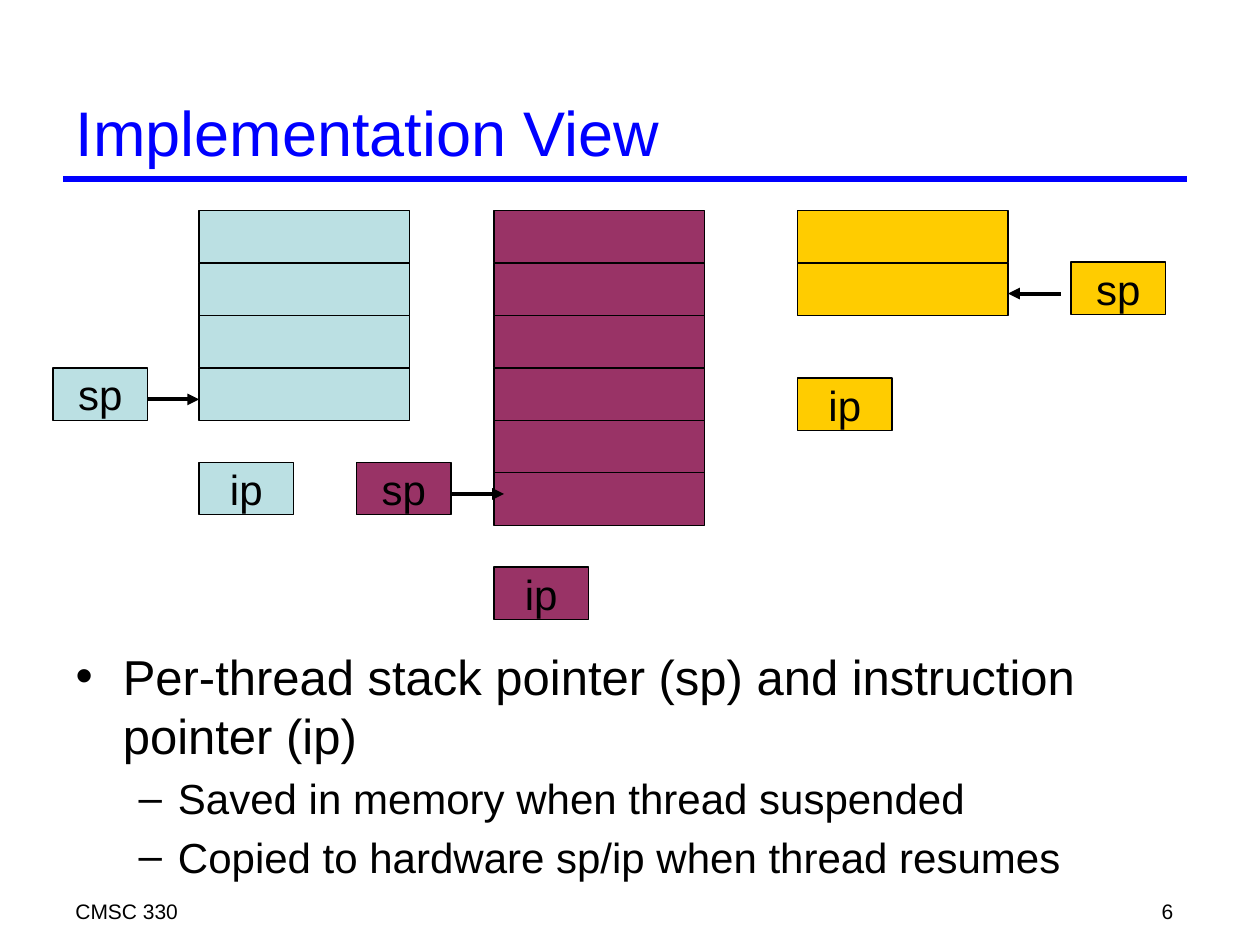
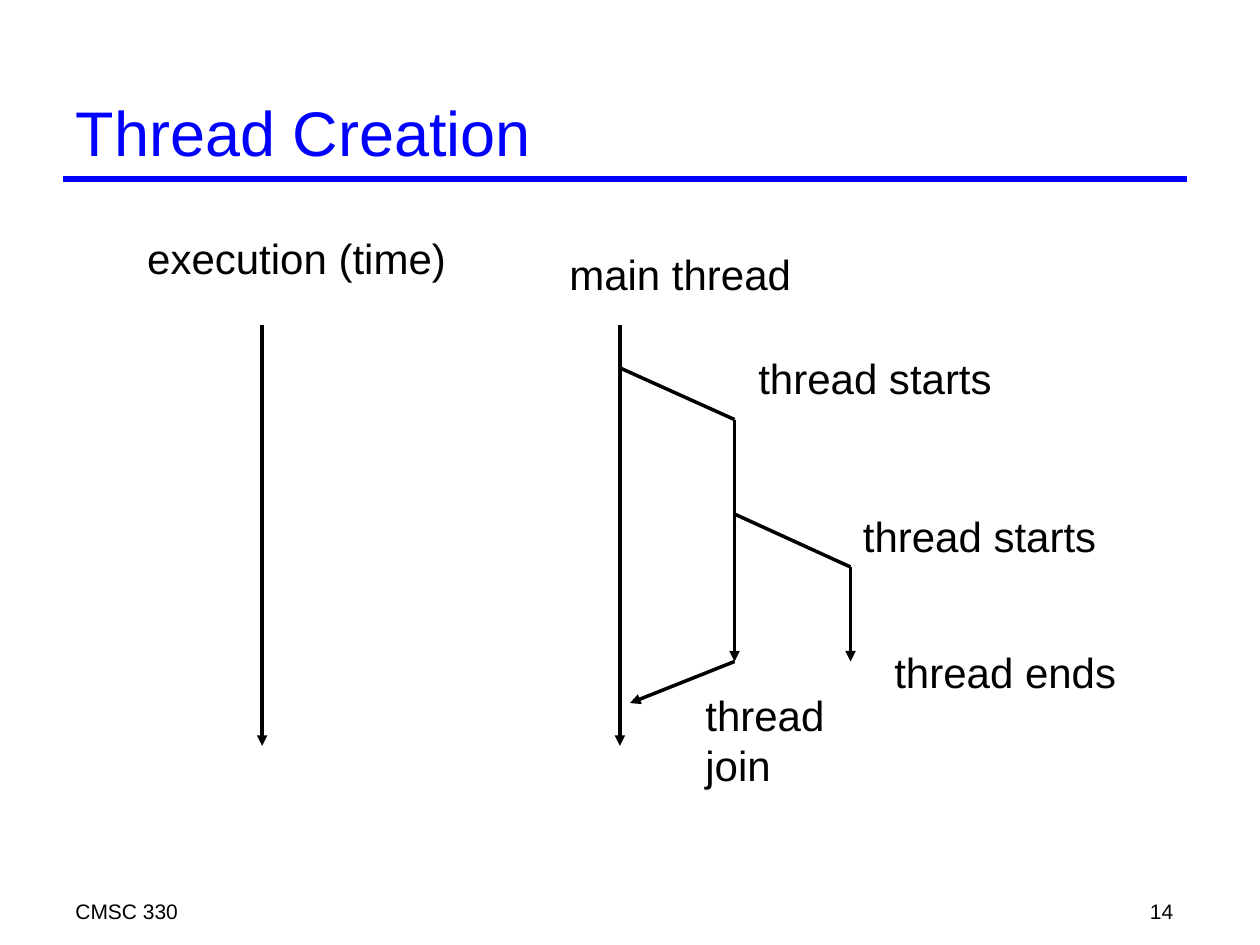
from lxml.etree import SubElement
from pptx import Presentation
from pptx.dml.color import RGBColor
from pptx.enum.shapes import MSO_CONNECTOR as Connector, MSO_SHAPE as Shape
from pptx.enum.text import MSO_ANCHOR as Anchor, MSO_AUTO_SIZE as AutoSize, PP_ALIGN as Align
from pptx.oxml.ns import qn
from pptx.util import Inches, Pt

BLACK = RGBColor(0x00, 0x00, 0x00)
BLUE = RGBColor(0x00, 0x00, 0xFF)
TEAL = RGBColor(0xBB, 0xE0, 0xE3)
PLUM = RGBColor(0x99, 0x33, 0x66)
GOLD = RGBColor(0xFF, 0xCC, 0x00)

LEFT, WIDTH = 0.5, 8.92
TITLE_ONLY, TITLE_AND_BODY = 5, 1


def write(frame, lines, size=24, color=BLACK, align=Align.LEFT):
    """Fill a text frame with one formatted paragraph per line."""
    frame.text = "\n".join(lines)
    for para in frame.paragraphs:
        para.alignment = align
        for name, value in {"name": "Arial", "size": Pt(size)}.items():
            setattr(para.font, name, value)
        para.font.color.rgb = color


def draw_line(page, start, end, width=2, color=BLACK, arrow=True):
    """Draw a straight line, with an arrowhead at its end if wanted."""
    line = page.shapes.add_connector(Connector.STRAIGHT, *map(Inches, start + end))
    line.line.width = Pt(width)
    line.line.color.rgb = color
    properties = line._element.spPr
    if arrow:
        SubElement(properties.find(qn("a:ln")), qn("a:tailEnd"), type="triangle")
    SubElement(properties, qn("a:effectLst"))


deck = Presentation()
deck.slide_width, deck.slide_height = Inches(10), Inches(7.5)

# Shared parts: title, rule, footer and page number
pages = []
for title, number, layout in [
    ("Implementation View", "6", TITLE_AND_BODY),
    ("Thread Creation", "14", TITLE_ONLY),
]:
    page = deck.slides.add_slide(deck.slide_layouts[layout])
    pages.append(page)
    heading = page.shapes.title
    for name, value in {"left": LEFT, "top": 0.67, "width": WIDTH, "height": 0.75}.items():
        setattr(heading, name, Inches(value))
    heading.text_frame.vertical_anchor = Anchor.MIDDLE
    heading.text_frame.auto_size = AutoSize.NONE
    write(heading.text_frame, [title], 36, BLUE)

    draw_line(page, (LEFT, 1.42), (LEFT + WIDTH, 1.42), 3, BLUE, arrow=False)

    for text, left, width, align in [
        ("CMSC 330", LEFT, 6.08, Align.LEFT),
        (number, 7.33, 2.08, Align.RIGHT),
    ]:
        box = page.shapes.add_textbox(Inches(left), Inches(7.08), Inches(width), Inches(0.25))
        box.text_frame.word_wrap = True
        write(box.text_frame, [text], 12, align=align)

implementation, creation = pages

# Implementation View: bullet list
body = implementation.placeholders[1]
for name, value in {"left": LEFT, "top": 5.08, "width": WIDTH, "height": 2.08}.items():
    setattr(body, name, Inches(value))
body.text_frame.auto_size = AutoSize.NONE
write(body.text_frame, [
    "Per-thread stack pointer (sp) and instruction pointer (ip)",
    "Saved in memory when thread suspended",
    "Copied to hardware sp/ip when thread resumes",
])
main_point, *details = body.text_frame.paragraphs
main_point.font.size = Pt(28)
for para in details:
    para.level = 1

# Implementation View: one stack per thread, with its two pointers
STACK_TOP, STACK_WIDTH, POINTER_WIDTH = 1.67, 1.67, 0.75
ROW = 5 / 12
for color, left, rows, ip_top, sp_left, sp_top, arrow_from, arrow_to in [
    (TEAL, 1.58, 4, 3.67, 0.42, 2.92, 1.17, 1.58),
    (PLUM, 3.92, 6, 4.5, 2.83, 3.67, 3.58, 4),
    (GOLD, 6.33, 2, 3, 8.5, 2.08, 8.42, 8),
]:
    boxes = [("", left, STACK_TOP + row * ROW, STACK_WIDTH) for row in range(rows)]
    boxes.append(("ip", left, ip_top, POINTER_WIDTH))
    boxes.append(("sp", sp_left, sp_top, POINTER_WIDTH))
    for text, box_left, top, width in boxes:
        box = implementation.shapes.add_shape(
            Shape.RECTANGLE, Inches(box_left), Inches(top), Inches(width), Inches(ROW))
        box.shadow.inherit = False
        box.fill.solid()
        box.fill.fore_color.rgb = color
        box.line.color.rgb = BLACK
        box.line.width = Pt(0.75)
        if text:
            box.text_frame.word_wrap = False
            box.text_frame.vertical_anchor = Anchor.MIDDLE
            write(box.text_frame, [text], align=Align.CENTER)
    arrow_y = sp_top + 0.25
    draw_line(implementation, (arrow_from, arrow_y), (arrow_to, arrow_y), 2.25)

# Thread Creation: time axis, threads, forks and join
TIME_X, MAIN_X, CHILD_X, GRANDCHILD_X = 2.08, 4.92, 5.83, 6.75
START, END, CHILD_END = 2.58, 5.92, 5.25
for start, end, arrow in [
    ((TIME_X, START), (TIME_X, END), True),
    ((MAIN_X, START), (MAIN_X, END), True),
    ((MAIN_X, 2.92), (CHILD_X, 3.33), False),
    ((CHILD_X, 3.33), (CHILD_X, CHILD_END), True),
    ((CHILD_X, 4.08), (GRANDCHILD_X, 4.5), False),
    ((GRANDCHILD_X, 4.5), (GRANDCHILD_X, CHILD_END), True),
    ((CHILD_X, CHILD_END), (5, 5.58), True),
]:
    draw_line(creation, start, end, arrow=arrow)

# Thread Creation: labels
for lines, left, top, width, height in [
    (["execution (time)"], 1.07, 1.8, 2.57, 0.5),
    (["main thread"], 4.42, 1.92, 1.96, 0.5),
    (["thread starts"], 5.92, 2.75, 2.05, 0.5),
    (["thread starts"], 6.75, 4, 2.05, 0.5),
    (["thread ends"], 7, 5.08, 1.96, 0.5),
    (["thread", "join"], 5.5, 5.42, 1.25, 0.9),
]:
    label = creation.shapes.add_textbox(*map(Inches, (left, top, width, height)))
    label.text_frame.word_wrap = len(lines) > 1
    label.text_frame.auto_size = AutoSize.SHAPE_TO_FIT_TEXT
    write(label.text_frame, lines)

deck.save("out.pptx")
